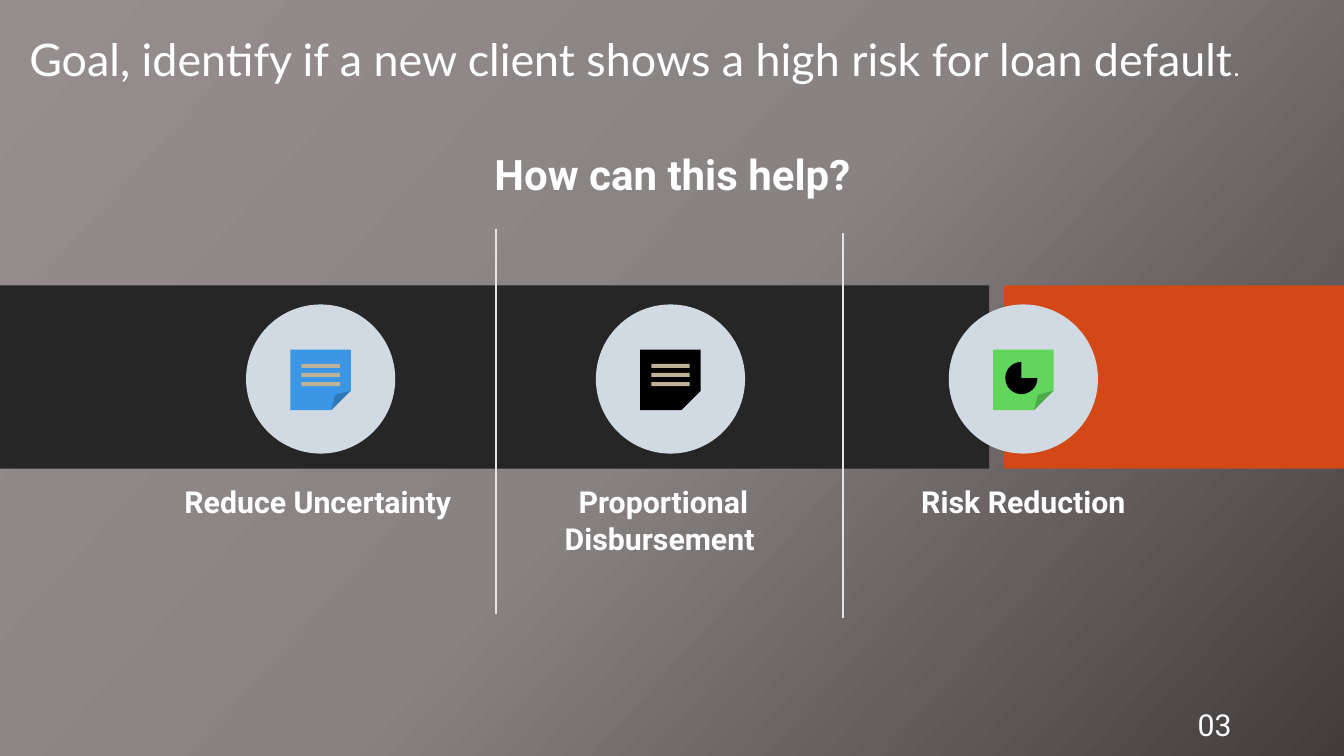
"""Build the loan default goal slide with its three benefits."""
from copy import deepcopy

from pptx import Presentation
from pptx.dml.color import RGBColor
from pptx.enum.shapes import MSO_CONNECTOR, MSO_SHAPE
from pptx.enum.text import MSO_ANCHOR, PP_ALIGN
from pptx.oxml.ns import qn
from pptx.util import Inches, Pt
from lxml.etree import SubElement

COLORS = {
    "white": "FFFFFF", "band": "262626", "accent": "D34817", "divider": "E4E4E4",
    "circle": "D1D9E2", "stripe": "BDB196", "blue": "3B96E6", "black": "000000",
    "green": "61D55C",
}
BACKGROUND = [(0, "968E8E"), (0.5, "898282"), (1, "433C3C")]
GOAL = "Goal, identify if a new client shows a high risk for loan default"
QUESTION = "How can this help?"
PAGE_NUMBER = "03"
BENEFITS = [
    {"label": "Reduce Uncertainty ", "label_left": 1.4, "icon_left": 2.44,
     "note": "blue", "mark": "stripes"},
    {"label": "Proportional Disbursement ", "label_left": 4.79, "icon_left": 5.91,
     "note": "black", "mark": "stripes"},
    {"label": "Risk Reduction", "label_left": 8.36, "icon_left": 9.41,
     "note": "green", "mark": "pie"},
]
BANDS = [(0, 9.81, "band"), (9.96, 3.37, "accent")]
DIVIDERS = [(4.92, 2.27), (8.36, 2.31)]
DIVIDER_LENGTH = 3.82
ICON_TOP = 3.02


def rgb(name):
    return RGBColor.from_string(COLORS[name])


def add_span(para, text, size, font="Roboto", bold=False):
    span = para.add_run()
    span.text = text
    span.font.size = Pt(size)
    span.font.name = font
    span.font.bold = bold
    span.font.color.rgb = rgb("white")


def add_text(page, text, left, top, width, height, size=21.6, bold=True,
             align=PP_ALIGN.CENTER, wrap=True):
    box = page.shapes.add_textbox(*map(Inches, (left, top, width, height)))
    box.text_frame.word_wrap = wrap
    para = box.text_frame.paragraphs[0]
    para.alignment = align
    add_span(para, text, size, bold=bold)


def add_filled(parent, kind, left, top, width, height, color):
    shape = parent.shapes.add_shape(kind, *map(Inches, (left, top, width, height)))
    shape.shadow.inherit = False
    shape.fill.solid()
    shape.fill.fore_color.rgb = rgb(color)
    shape.line.fill.background()
    return shape


def fold_corner(sheet):
    geometry = sheet.element.spPr.find(qn("a:prstGeom"))
    geometry.set("prst", "foldedCorner")
    SubElement(geometry.find(qn("a:avLst")), qn("a:gd"), name="adj", fmla="val 32300")


def add_icon(page, left, top, note, mark):
    icon = page.shapes.add_group_shape()
    add_filled(icon, MSO_SHAPE.OVAL, left, top, 1.48, 1.48, "circle")
    sheet = add_filled(icon, MSO_SHAPE.RECTANGLE, left + 0.44, top + 0.45, 0.6, 0.6, note)
    fold_corner(sheet)
    if mark == "pie":
        add_filled(icon, MSO_SHAPE.PIE, left + 0.56, top + 0.57, 0.32, 0.32, "black")
    else:
        for row in range(3):
            add_filled(icon, MSO_SHAPE.RECTANGLE, left + 0.55, top + 0.59 + row * 0.09,
                       0.38, 0.04, "stripe")


def add_divider(page, left, top):
    line = page.shapes.add_connector(
        MSO_CONNECTOR.STRAIGHT, *map(Inches, (left, top, left, top + DIVIDER_LENGTH)))
    line.line.color.rgb = rgb("divider")
    line.line.width = Pt(1)
    SubElement(line.element.spPr, qn("a:effectLst"))


def paint_background(page):
    fill = page.background.fill
    fill.gradient()
    fill.gradient_angle = 360 - 42
    last_stop = list(page.element.iter(qn("a:gs")))[-1]
    last_stop.addnext(deepcopy(last_stop))
    for stop, (position, color) in zip(fill.gradient_stops, BACKGROUND):
        stop.position = position
        stop.color.rgb = RGBColor.from_string(color)


def write_goal(page):
    title = page.shapes.title
    title.left, title.top, title.width, title.height = map(Inches, (0.19, 0.26, 12.91, 0.64))
    title.text_frame.vertical_anchor = MSO_ANCHOR.MIDDLE
    para = title.text_frame.paragraphs[0]
    para.alignment = PP_ALIGN.LEFT
    add_span(para, GOAL, 32, font="Lato")
    add_span(para, ".", 20)


deck = Presentation()
deck.slide_width, deck.slide_height = Inches(13.33), Inches(7.5)
page = deck.slides.add_slide(deck.slide_layouts[5])
paint_background(page)
write_goal(page)
for left, width, color in BANDS:
    add_filled(page, MSO_SHAPE.RECTANGLE, left, 2.83, width, 1.82, color)
for left, top in DIVIDERS:
    add_divider(page, left, top)
for benefit in BENEFITS:
    add_icon(page, benefit["icon_left"], ICON_TOP, benefit["note"], benefit["mark"])
    add_text(page, benefit["label"], benefit["label_left"], 4.75, 3.58, 0.46)
add_text(page, QUESTION, 3.7, 1.42, 5.94, 0.85, size=30)
add_text(page, PAGE_NUMBER, 11.78, 6.96, 0.54, 0.46, bold=False,
         align=PP_ALIGN.LEFT, wrap=False)
deck.save("out.pptx")
